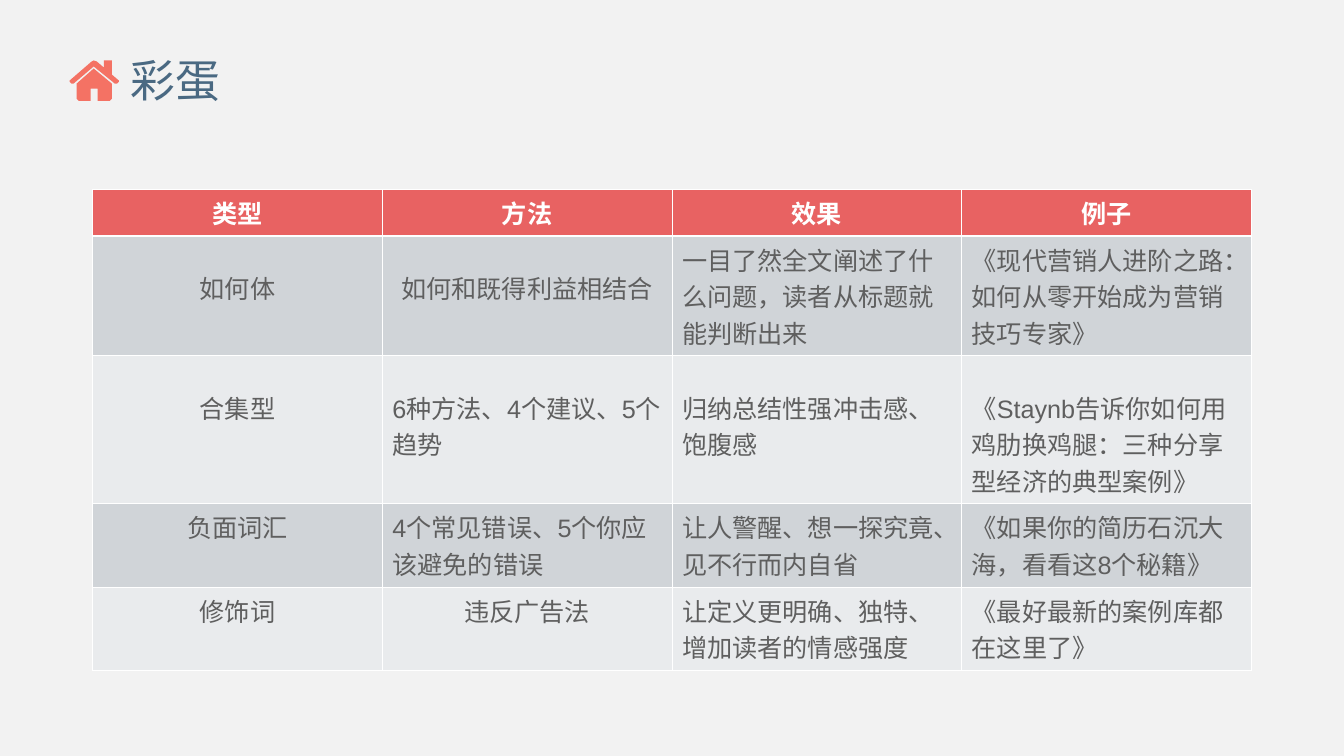
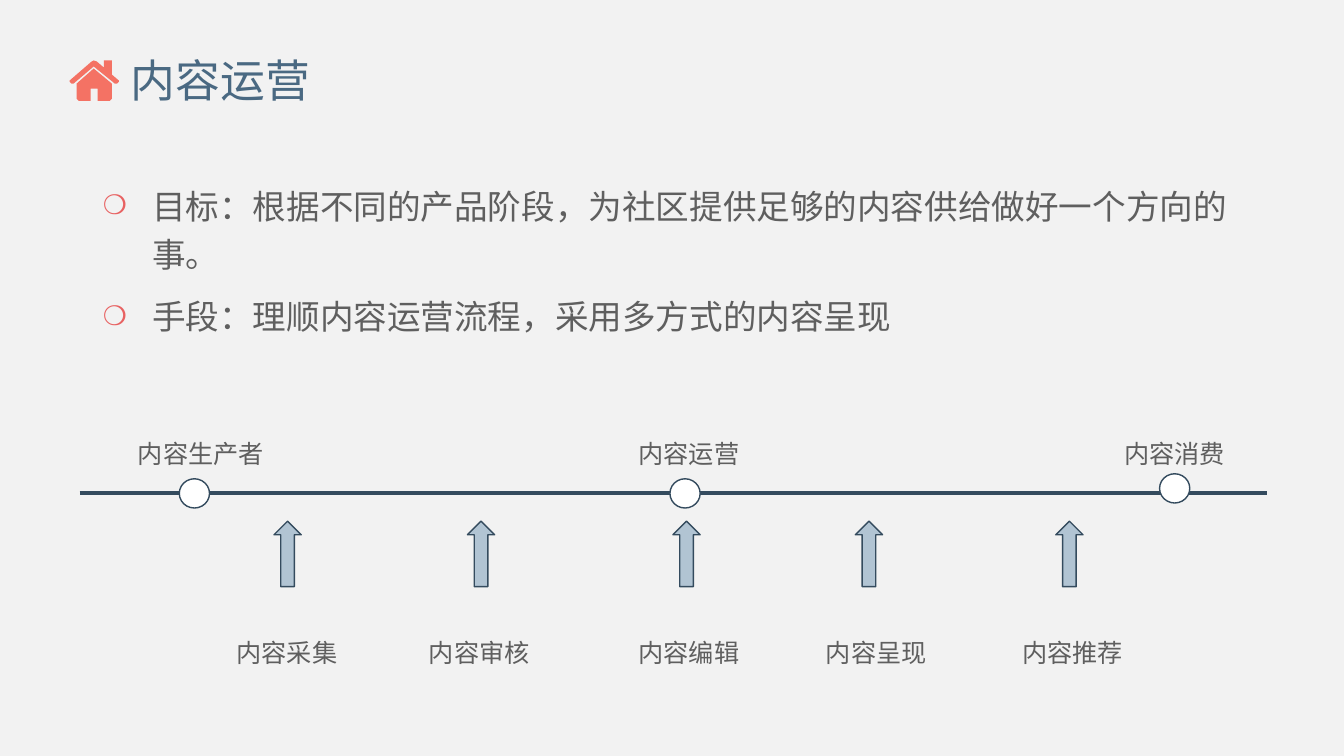
"""Build two slides on headline types and content operations."""
from typing import NamedTuple

from lxml.etree import SubElement
from pptx import Presentation
from pptx.dml.color import RGBColor
from pptx.enum.shapes import MSO_CONNECTOR, MSO_SHAPE
from pptx.enum.text import MSO_ANCHOR, MSO_AUTO_SIZE, PP_ALIGN
from pptx.oxml.ns import qn
from pptx.presentation import Presentation as Deck
from pptx.shapes.autoshape import Shape
from pptx.slide import Slide
from pptx.table import _Cell
from pptx.text.text import TextFrame
from pptx.util import Inches, Pt

FONT = "Arial"
BACKGROUND = RGBColor(0xF2, 0xF2, 0xF2)
WHITE = RGBColor(0xFF, 0xFF, 0xFF)
TITLE_BLUE = RGBColor(0x4A, 0x69, 0x82)
TEXT_GREY = RGBColor(0x5F, 0x5F, 0x5F)
HOUSE_CORAL = RGBColor(0xF4, 0x72, 0x64)
ACCENT_RED = RGBColor(0xE8, 0x62, 0x62)
BAND_DARK = RGBColor(0xD0, 0xD4, 0xD8)
BAND_LIGHT = RGBColor(0xE9, 0xEB, 0xED)
NAVY = RGBColor(0x34, 0x4B, 0x5E)
ARROW_BLUE = RGBColor(0xB1, 0xC4, 0xD3)

HOUSE_ROOF = [
    (116, 83), (114, 83), (93, 66), (73, 83), (71, 83), (69, 81), (69, 80), (91, 61),
    (93, 60), (96, 61), (103, 67), (103, 60), (111, 60), (111, 74), (118, 80), (118, 81),
]
HOUSE_WALLS = [
    (111, 98), (109, 100), (97, 100), (97, 88), (90, 88), (90, 100),
    (78, 100), (76, 98), (76, 83), (93, 68), (111, 83),
]


class TableRow(NamedTuple):
    """One table row: its texts, height, centred columns and lowered columns."""

    texts: tuple[str, str, str, str]
    height: float
    centred: tuple[int, ...]
    lowered: tuple[int, ...] = ()


class Milestone(NamedTuple):
    """A circle on the timeline with the label above it."""

    label: str
    label_left: float
    circle_left: float
    circle_top: float


class Step(NamedTuple):
    """An arrow pointing at the timeline with the label below it."""

    label: str
    label_left: float
    arrow_left: float


HEADLINE_ROWS = [
    TableRow(("类型", "方法", "效果", "例子"), 0.46, (0, 1, 2, 3)),
    TableRow(
        ("如何体", "如何和既得利益相结合",
         "一目了然全文阐述了什么问题，读者从标题就能判断出来",
         "《现代营销人进阶之路：如何从零开始成为营销技巧专家》"),
        1.18, (0, 1), (0, 1),
    ),
    TableRow(
        ("合集型", "6种方法、4个建议、5个\n趋势", "归纳总结性强冲击感、饱腹感",
         "《Staynb告诉你如何用鸡肋换鸡腿：三种分享型经济的典型案例》"),
        1.46, (0,), (0, 1, 2, 3),
    ),
    TableRow(
        ("负面词汇", "4个常见错误、5个你应该避免的错误",
         "让人警醒、想一探究竟、见不行而内自省",
         "《如果你的简历石沉大海，看看这8个秘籍》"),
        0.83, (0,),
    ),
    TableRow(
        ("修饰词", "违反广告法", "让定义更明确、独特、增加读者的情感强度",
         "《最好最新的案例库都在这里了》"),
        0.83, (0, 1),
    ),
]
GOALS = [
    "目标：根据不同的产品阶段，为社区提供足够的内容供给做好一个方向的事。",
    "手段：理顺内容运营流程，采用多方式的内容呈现",
]
MILESTONES = [
    Milestone("内容生产者", 1.27, 1.78, 4.75),
    Milestone("内容运营", 6.24, 6.65, 4.75),
    Milestone("内容消费", 11.06, 11.51, 4.7),
]
STEPS = [
    Step("内容采集", 2.25, 2.72),
    Step("内容审核", 4.16, 4.64),
    Step("内容编辑", 6.24, 6.68),
    Step("内容呈现", 8.1, 8.49),
    Step("内容推荐", 10.05, 10.48),
]


def format_text(frame: TextFrame, size: float, color: RGBColor, bold: bool = False) -> None:
    """Apply one font style to every run in a frame."""
    for paragraph in frame.paragraphs:
        for run in paragraph.runs:
            run.font.name = FONT
            run.font.size = Pt(size)
            run.font.bold = bold
            run.font.color.rgb = color


def place(shape: Shape, left: float, top: float, width: float, height: float) -> None:
    """Move and size a placeholder, in inches."""
    shape.left, shape.top = Inches(left), Inches(top)
    shape.width, shape.height = Inches(width), Inches(height)


def add_house(slide: Slide) -> None:
    """Draw the house beside the title."""
    builder = slide.shapes.build_freeform(*HOUSE_ROOF[0], scale=Inches(0.01))
    builder.add_line_segments(HOUSE_ROOF[1:], close=True)
    builder.move_to(*HOUSE_WALLS[0])
    builder.add_line_segments(HOUSE_WALLS[1:], close=True)
    house = builder.convert_to_shape()
    house.shadow.inherit = False
    house.fill.solid()
    house.fill.fore_color.rgb = HOUSE_CORAL
    house.line.fill.background()


def add_titled_slide(deck: Deck, layout_index: int, heading: str) -> Slide:
    """Add a slide with the shared title style and house."""
    slide = deck.slides.add_slide(deck.slide_layouts[layout_index])
    title = slide.shapes.title
    place(title, 0.92, 0.43, 11.5, 0.79)
    frame = title.text_frame
    frame.text = heading
    frame.auto_size = MSO_AUTO_SIZE.NONE
    frame.vertical_anchor = MSO_ANCHOR.MIDDLE
    frame.margin_left = Inches(0.38)
    frame.paragraphs[0].alignment = PP_ALIGN.LEFT
    frame.paragraphs[0].line_spacing = 0.9
    format_text(frame, 32, TITLE_BLUE)
    add_house(slide)
    return slide


def set_borders(cell: _Cell, top: float, bottom: float) -> None:
    """Give a cell white borders, ahead of its fill."""
    properties = cell._tc.get_or_add_tcPr()
    widths = {"a:lnL": 0.45, "a:lnR": 0.45, "a:lnT": top, "a:lnB": bottom}
    for position, (tag, width) in enumerate(widths.items()):
        border = SubElement(properties, qn(tag), w=str(Pt(width)))
        SubElement(SubElement(border, qn("a:solidFill")), qn("a:srgbClr"), val=str(WHITE))
        properties.insert(position, border)


def add_headline_table(slide: Slide) -> None:
    """Draw the table of headline types."""
    height = sum(row.height for row in HEADLINE_ROWS)
    table = slide.shapes.add_table(
        len(HEADLINE_ROWS), 4, Inches(0.92), Inches(1.88), Inches(11.5), Inches(height)
    ).table
    for row_index, row in enumerate(HEADLINE_ROWS):
        table.rows[row_index].height = Inches(row.height)
        is_header = row_index == 0
        band = ACCENT_RED if is_header else BAND_DARK if row_index % 2 else BAND_LIGHT
        for column, text in enumerate(row.texts):
            cell = table.cell(row_index, column)
            cell.text = text
            cell.margin_top = Inches(0.33 if column in row.lowered else 0.05)
            cell.fill.solid()
            cell.fill.fore_color.rgb = band
            set_borders(cell, 1.47 if row_index == 1 else 0.45, 1.47 if is_header else 0.45)
            for paragraph in cell.text_frame.paragraphs:
                paragraph.alignment = PP_ALIGN.CENTER if column in row.centred else PP_ALIGN.LEFT
            format_text(cell.text_frame, 18, WHITE if is_header else TEXT_GREY, is_header)


def fill_goals(slide: Slide) -> None:
    """Write the bulleted goals in the body placeholder."""
    body = slide.placeholders[1]
    place(body, 0.92, 1.71, 11.5, 2.3)
    frame = body.text_frame
    frame.text = "\n".join(GOALS)
    frame.auto_size = MSO_AUTO_SIZE.NONE
    frame.vertical_anchor = MSO_ANCHOR.TOP
    for index, paragraph in enumerate(frame.paragraphs):
        properties = paragraph._p.get_or_add_pPr()
        properties.set("marL", str(Inches(0.49)))
        properties.set("indent", str(-Inches(0.49)))
        SubElement(SubElement(properties, qn("a:buClr")), qn("a:srgbClr"), val=str(ACCENT_RED))
        SubElement(properties, qn("a:buSzPct"), val="80000")
        SubElement(properties, qn("a:buFont"), typeface=FONT)
        SubElement(properties, qn("a:buChar"), char="❍")
        paragraph.alignment = PP_ALIGN.LEFT
        paragraph.line_spacing = 1.2
        paragraph.space_before = Pt(10 if index else 0)
    format_text(frame, 24, TEXT_GREY)


def add_label(slide: Slide, text: str, left: float, top: float) -> None:
    """Add a timeline label."""
    label = slide.shapes.add_textbox(Inches(left), Inches(top), Inches(1.5), Inches(0.4))
    label.text_frame.word_wrap = True
    label.text_frame.text = text
    format_text(label.text_frame, 18, TEXT_GREY)


def add_marker(slide: Slide, kind: MSO_SHAPE, left: float, top: float,
               width: float, height: float, fill: RGBColor) -> None:
    """Add an outlined circle or arrow."""
    marker = slide.shapes.add_shape(kind, Inches(left), Inches(top), Inches(width), Inches(height))
    marker.shadow.inherit = False
    marker.fill.solid()
    marker.fill.fore_color.rgb = fill
    marker.line.color.rgb = NAVY
    marker.line.width = Pt(1)


def add_timeline(slide: Slide) -> None:
    """Draw the line, its milestones and the steps below it."""
    axis = slide.shapes.add_connector(
        MSO_CONNECTOR.STRAIGHT, Inches(0.79), Inches(4.89), Inches(12.58), Inches(4.89)
    )
    axis.line.color.rgb = NAVY
    axis.line.width = Pt(2.75)
    SubElement(axis._element.spPr, qn("a:effectLst"))
    for milestone in MILESTONES:
        add_marker(slide, MSO_SHAPE.FLOWCHART_CONNECTOR, milestone.circle_left,
                   milestone.circle_top, 0.3, 0.29, WHITE)
        add_label(slide, milestone.label, milestone.label_left, 4.3)
    for step in STEPS:
        add_marker(slide, MSO_SHAPE.UP_ARROW, step.arrow_left, 5.17, 0.27, 0.65, ARROW_BLUE)
        add_label(slide, step.label, step.label_left, 6.27)


def main() -> None:
    """Build and save the presentation."""
    deck = Presentation()
    deck.slide_width, deck.slide_height = Inches(13.34), Inches(7.5)
    background = deck.slide_master.background.fill
    background.solid()
    background.fore_color.rgb = BACKGROUND
    add_headline_table(add_titled_slide(deck, 5, "彩蛋"))
    operations = add_titled_slide(deck, 1, "内容运营")
    fill_goals(operations)
    add_timeline(operations)
    deck.save("out.pptx")


if __name__ == "__main__":
    main()
